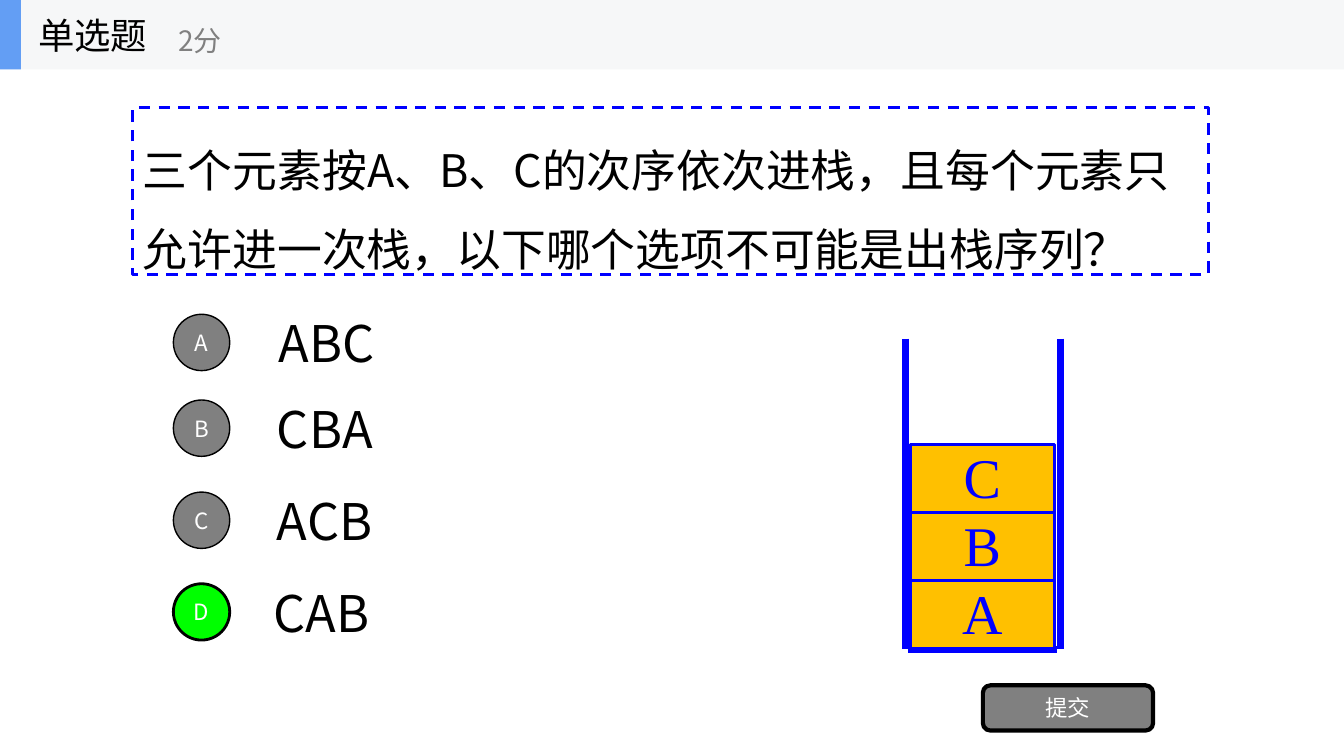
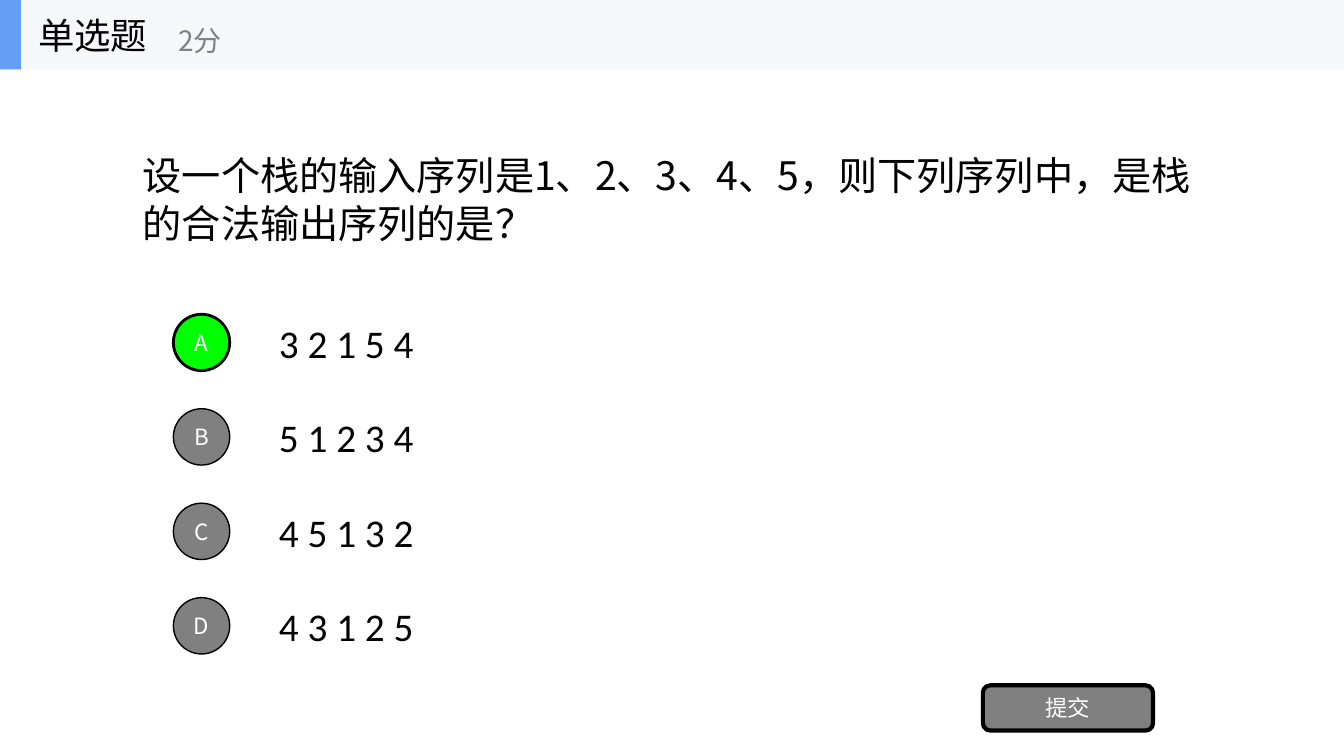
from lxml.etree import SubElement
from pptx import Presentation
from pptx.dml.color import RGBColor
from pptx.enum.dml import MSO_LINE
from pptx.enum.shapes import MSO_CONNECTOR, MSO_SHAPE as SHAPE
from pptx.enum.text import MSO_ANCHOR, PP_ALIGN as ALIGN
from pptx.oxml.ns import qn
from pptx.util import Cm, Pt

BLACK = RGBColor(0x00, 0x00, 0x00)
WHITE = RGBColor(0xFF, 0xFF, 0xFF)
GRAY = RGBColor(0x80, 0x80, 0x80)
GREEN = RGBColor(0x00, 0xFF, 0x00)
BLUE = RGBColor(0x00, 0x00, 0xFF)
AMBER = RGBColor(0xFF, 0xC0, 0x00)
BAND = RGBColor(0xF6, 0xF7, 0xF8)
ACCENT = RGBColor(0x63, 0x9E, 0xF4)

SANS, LATIN, SERIF = "Noto Sans CJK SC", "Calibri", "Times New Roman"
WIDTH, HEIGHT = 33.87, 19.05
BAND_HEIGHT = 1.75
QUESTION_LEFT, QUESTION_WIDTH = 3.35, 27.1


class Quiz:
    """Holds the presentation, the shared style and the current slide."""

    def __init__(self):
        self.prs = Presentation()
        self.prs.slide_width, self.prs.slide_height = Cm(WIDTH), Cm(HEIGHT)
        self.s = None

    def label(self, sp, text, size, color=BLACK, font=SANS, align=ALIGN.LEFT,
              spacing=None, margins=(0.25, 0.13, 0.25, 0.13)):
        tf = sp.text_frame
        tf.text = text
        tf.word_wrap = True
        tf.vertical_anchor = MSO_ANCHOR.MIDDLE
        (tf.margin_left, tf.margin_top,
         tf.margin_right, tf.margin_bottom) = map(Cm, margins)
        p = tf.paragraphs[0]
        p.alignment = align
        if spacing:
            p.line_spacing = Pt(spacing)
        r = p.runs[0]
        r.font.size, r.font.name = Pt(size), font
        r.font.color.rgb = color
        # East Asian characters take their own typeface
        SubElement(r.font._element, qn("a:ea"), typeface=font)

    def text(self, x, y, w, h, text, size, **style):
        sp = self.s.shapes.add_textbox(Cm(x), Cm(y), Cm(w), Cm(h))
        self.label(sp, text, size, **style)

    def shape(self, kind, x, y, w, h, fill, line=None, weight=1):
        sp = self.s.shapes.add_shape(kind, Cm(x), Cm(y), Cm(w), Cm(h))
        sp.shadow.inherit = False
        sp.fill.solid()
        sp.fill.fore_color.rgb = fill
        if line is None:
            sp.line.fill.background()
        else:
            sp.line.color.rgb, sp.line.width = line, Pt(weight)
        return sp

    def line(self, x1, y1, x2, y2, color, weight):
        c = self.s.shapes.add_connector(
            MSO_CONNECTOR.STRAIGHT, Cm(x1), Cm(y1), Cm(x2), Cm(y2))
        c.line.color.rgb, c.line.width = color, Pt(weight)
        SubElement(c._element.spPr, qn("a:effectLst"))

    def new_slide(self):
        """Adds a slide with the header band and the submit button."""
        self.s = self.prs.slides.add_slide(self.prs.slide_layouts[6])
        self.shape(SHAPE.RECTANGLE, 0, 0, WIDTH, BAND_HEIGHT, BAND)
        self.shape(SHAPE.RECTANGLE, 0, 0, 0.53, BAND_HEIGHT, ACCENT)
        self.text(0.71, 0, 5.28, BAND_HEIGHT, "单选题", 26)
        self.text(4.24, 0.3, 6.35, 1.42, "2分", 20, color=GRAY)
        button = self.shape(SHAPE.ROUNDED_RECTANGLE, 24.77, 17.27, 4.29, 1.14,
                            GRAY, BLACK, 3)
        self.label(button, "提交", 16, WHITE, align=ALIGN.CENTER, margins=[0] * 4)

    def option(self, letter, text, x, y, size, font=SANS, correct=False):
        fill, weight = (GREEN, 2) if correct else (GRAY, 1)
        badge = self.shape(SHAPE.OVAL, 4.37, y, 1.42, 1.42, fill, BLACK, weight)
        self.label(badge, letter, 16, WHITE, align=ALIGN.CENTER, margins=[0] * 4)
        self.text(x, y - 0.17, 23.7, 1.78, text, size, font=font)

    def stack(self, letters):
        """Draws an open container filled from the bottom up."""
        left, right, top, bottom = 22.81, 26.72, 8.53, 16.36
        self.line(left, top, left, bottom, BLUE, 5)
        self.line(left + 0.08, bottom, right - 0.08, bottom, BLUE, 5)
        self.line(right, top, right, bottom, BLUE, 5)
        for i, letter in enumerate(letters):
            block = self.shape(SHAPE.RECTANGLE, left + 0.13, 14.63 - 1.71 * i,
                               3.63, 1.7, AMBER, BLUE, 2)
            self.label(block, letter, 40, BLUE, SERIF, ALIGN.CENTER,
                       margins=(0.25, 0, 0.25, 0.13))


def main():
    quiz = Quiz()

    # Impossible output order of three elements
    quiz.new_slide()
    box = quiz.shape(SHAPE.RECTANGLE, QUESTION_LEFT, 2.72, QUESTION_WIDTH, 4.19,
                     WHITE, BLUE, 2)
    box.line.dash_style = MSO_LINE.DASH
    quiz.label(box, "三个元素按A、B、C的次序依次进栈，且每个元素只允许进一次栈，"
               "以下哪个选项不可能是出栈序列？", 32, spacing=57,
               margins=(0.25, 0.25, 0.25, 0))
    for letter, text, x, y in (("A", "ABC", 6.78, 7.92), ("B", "CBA", 6.73, 10.08),
                               ("C", "ACB", 6.73, 12.4), ("D", "CAB", 6.65, 14.71)):
        quiz.option(letter, text, x, y, 36, correct=letter == "D")
    quiz.stack("ABC")

    # Valid output order of five numbers
    quiz.new_slide()
    quiz.text(QUESTION_LEFT, 2.49, QUESTION_WIDTH, 5,
              "设一个栈的输入序列是1、2、3、4、5，则下列序列中，是栈的合法输出序列的是？",
              28, spacing=34.3)
    answers = ("3 2 1 5 4", "5 1 2 3 4", "4 5 1 3 2", "4 3 1 2 5")
    for i, (letter, text) in enumerate(zip("ABCD", answers)):
        quiz.option(letter, text, 6.78, 7.92 + 2.38 * i, 28, LATIN, letter == "A")

    quiz.prs.save("out.pptx")


if __name__ == "__main__":
    main()
